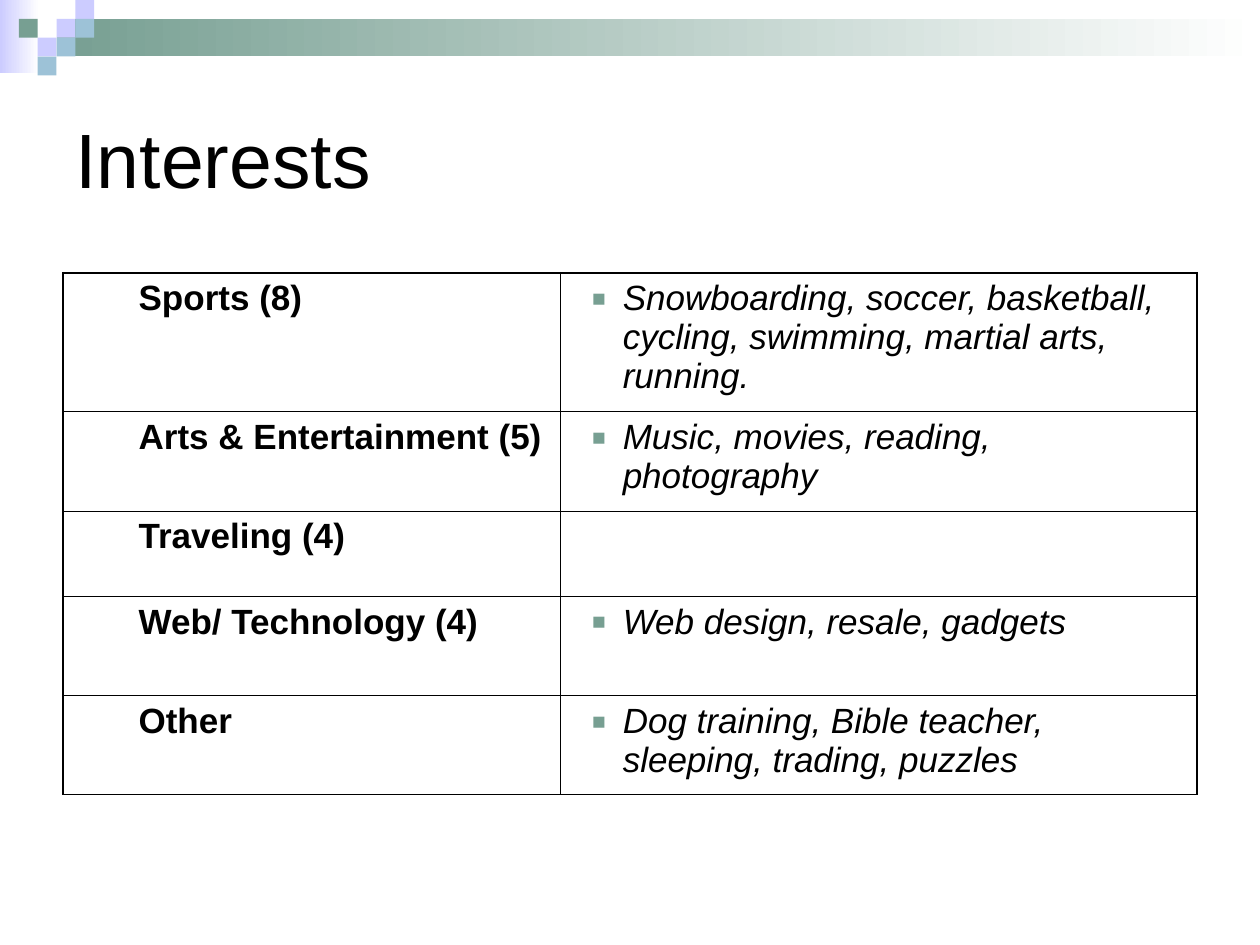
from lxml.etree import SubElement
from pptx import Presentation
from pptx.dml.color import RGBColor
from pptx.enum.shapes import MSO_SHAPE as Shape
from pptx.enum.text import MSO_ANCHOR as Anchor, PP_ALIGN as Align
from pptx.oxml.ns import qn
from pptx.util import Cm, Pt

BLACK = RGBColor(0x00, 0x00, 0x00)
WHITE = RGBColor(0xFF, 0xFF, 0xFF)
LAVENDER = RGBColor(0xCC, 0xCC, 0xFF)
GREEN = RGBColor(0x77, 0x9F, 0x92)
BLUE = RGBColor(0x9D, 0xC2, 0xD7)

FONT = "Arial"
TITLE_FORMAT = {"name": FONT, "size": Pt(44), "bold": False}
TOPIC_FORMAT = {"name": FONT, "size": Pt(20), "bold": True, "italic": False}
DETAIL_FORMAT = {"name": FONT, "size": Pt(20), "bold": False, "italic": True}

OUTER_WIDTH, INNER_WIDTH = Pt(1.08), Pt(0.45)
COLUMN_WIDTHS = [10.03, 12.83]
ROW_HEIGHTS = [2.8, 2, 1.72, 2, 2]
INTERESTS = [
    ("Sports (8)", "Snowboarding, soccer, basketball, cycling, swimming, martial arts, running."),
    ("Arts & Entertainment (5)", "Music, movies, reading, photography"),
    ("Traveling (4)", ""),
    ("Web/ Technology (4)", "Web design, resale, gadgets"),
    ("Other", "Dog training, Bible teacher, sleeping, trading, puzzles"),
]
SQUARES = [
    (2, 1, LAVENDER), (3, 0, LAVENDER), (3, 1, BLUE), (1, 2, LAVENDER),
    (0, 1, GREEN), (2, 2, BLUE), (1, 3, BLUE),
]


def set_font(font, values):
    for name, value in values.items():
        setattr(font, name, value)
    font.color.rgb = BLACK


def add_rectangle(page, left, top, width, height):
    box = page.shapes.add_shape(Shape.RECTANGLE, Cm(left), Cm(top), Cm(width), Cm(height))
    box.shadow.inherit = False
    box.line.fill.background()
    return box


def add_fading_band(page, left, top, width, height, color):
    fill = add_rectangle(page, left, top, width, height).fill
    fill.gradient()
    fill.gradient_angle = 0
    for stop, shade in zip(fill.gradient_stops, (color, WHITE)):
        stop.color.rgb = shade


def add_header(page, left, top, width):
    side = 0.38
    add_fading_band(page, left, top, 0.79, 1.47, LAVENDER)
    add_fading_band(page, left + 3 * side, top + side, width - 3 * side, 2 * side, GREEN)
    for column, row, color in SQUARES:
        square = add_rectangle(page, left + (column + 1) * side, top + row * side, side, side)
        square.fill.solid()
        square.fill.fore_color.rgb = color


def place_title(page, left, top, width, height):
    title = page.shapes.title
    title.left, title.top, title.width, title.height = Cm(left), Cm(top), Cm(width), Cm(height)
    title.text_frame.vertical_anchor = Anchor.MIDDLE
    para = title.text_frame.paragraphs[0]
    para.alignment = Align.LEFT
    span = para.add_run()
    span.text = "Interests"
    set_font(span.font, TITLE_FORMAT)


def set_borders(cell, widths):
    properties = cell._tc.get_or_add_tcPr()
    for index, (side, width) in enumerate(widths.items()):
        line = SubElement(properties, qn(f"a:ln{side}"), w=str(width))
        fill = SubElement(line, qn("a:solidFill"))
        SubElement(fill, qn("a:srgbClr"), val=str(BLACK))
        properties.insert(index, line)


def add_bullet(para):
    properties = para._p.get_or_add_pPr()
    color = SubElement(properties, qn("a:buClr"))
    SubElement(color, qn("a:srgbClr"), val=str(GREEN))
    SubElement(properties, qn("a:buSzPct"), val="65000")
    SubElement(properties, qn("a:buFont"), typeface=FONT)
    SubElement(properties, qn("a:buChar"), char="■")


def fill_cell(cell, text, values, margin, indent):
    para = cell.text_frame.paragraphs[0]
    properties = para._p.get_or_add_pPr()
    properties.set("marL", str(Cm(margin)))
    properties.set("indent", str(Cm(indent)))
    if indent and text:
        add_bullet(para)
    set_font(para.font, values)
    if text:
        span = para.add_run()
        span.text = text
        set_font(span.font, values)


def add_interests(page, left, top):
    frame = page.shapes.add_table(
        len(INTERESTS), 2, Cm(left), Cm(top), Cm(sum(COLUMN_WIDTHS)), Cm(sum(ROW_HEIGHTS)))
    table = frame.table
    table.first_row = table.horz_banding = False
    for column, width in zip(table.columns, COLUMN_WIDTHS):
        column.width = Cm(width)
    for row, height in zip(table.rows, ROW_HEIGHTS):
        row.height = Cm(height)
    last = len(INTERESTS) - 1
    for index, (topic, detail) in enumerate(INTERESTS):
        topic_cell, detail_cell = table.cell(index, 0), table.cell(index, 1)
        fill_cell(topic_cell, topic, TOPIC_FORMAT, 1.27, 0)
        fill_cell(detail_cell, detail, DETAIL_FORMAT, 1, -0.62)
        for column, cell in enumerate((topic_cell, detail_cell)):
            cell.fill.background()
            outer = {"L": column == 0, "R": column == 1, "T": index == 0, "B": index == last}
            set_borders(cell, {side: OUTER_WIDTH if edge else INNER_WIDTH
                               for side, edge in outer.items()})


def main():
    deck = Presentation()
    deck.slide_width, deck.slide_height = Cm(25.4), Cm(19.05)
    page = deck.slides.add_slide(deck.slide_layouts[5])
    add_header(page, 0, 0, 25.4)
    place_title(page, 1.27, 1.27, 22.86, 3.81)
    add_interests(page, 1.27, 5.5)
    deck.save("out.pptx")


if __name__ == "__main__":
    main()
